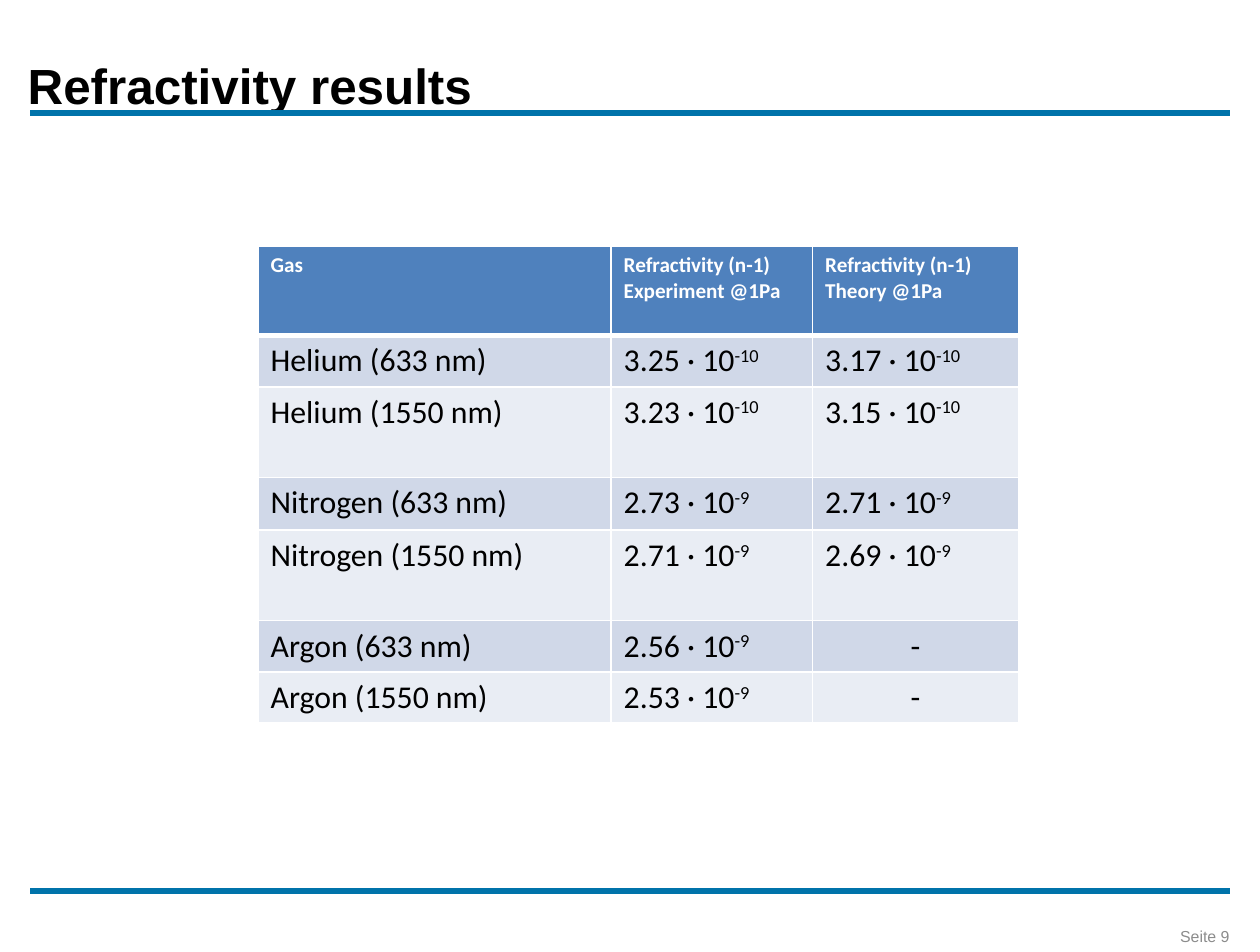
from lxml.etree import SubElement
from pptx import Presentation
from pptx.dml.color import RGBColor
from pptx.enum.shapes import MSO_CONNECTOR as Connector
from pptx.enum.text import MSO_ANCHOR as Anchor, PP_ALIGN as Align
from pptx.oxml.ns import qn
from pptx.util import Cm, Pt

BLUE = "0073AA"
HEADER_FILL = "4F81BD"
BAND_FILLS = ["E9EDF4", "D0D8E8"]


def rgb(value):
    return RGBColor.from_string(value)


def write(frame, text, size, font="Calibri", color="000000", bold=False,
          align=Align.LEFT, anchor=Anchor.TOP):
    """Fill a text frame; whatever follows ^ is set as superscript."""
    frame.word_wrap = True
    frame.vertical_anchor = anchor
    paragraph = frame.paragraphs[0]
    paragraph.alignment = align
    base, _, exponent = text.partition("^")
    for part, offset in ((base, 0), (exponent, 30000)):
        if not part:
            continue
        run = paragraph.add_run()
        run.text = part
        run.font.size = Pt(size)
        run.font.name = font
        run.font.bold = bold
        run.font.color.rgb = rgb(color)
        if offset:
            run._r.get_or_add_rPr().set("baseline", str(offset))


prs = Presentation()
prs.slide_width, prs.slide_height = Cm(25.2), Cm(19.05)
slide = prs.slides.add_slide(prs.slide_layouts[5])

# Rules below the title and above the footer
for y in (2.26, 17.83):
    rule = slide.shapes.add_connector(Connector.STRAIGHT, Cm(0.6), Cm(y), Cm(24.6), Cm(y))
    rule.line.color.rgb = rgb(BLUE)
    rule.line.width = Pt(3)
    SubElement(rule._element.spPr, qn("a:effectLst"))

# Title
title = slide.shapes.title
title.left, title.top, title.width, title.height = Cm(0.3), Cm(0.62), Cm(24.2), Cm(2.16)
write(title.text_frame, "Refractivity results", 28, font="Arial", bold=True, anchor=Anchor.MIDDLE)

# Page number
page = slide.shapes.add_textbox(Cm(13.92), Cm(18.42), Cm(10.92), Cm(0.63))
write(page.text_frame, "Seite 9", 9, font="Arial", color="8C8C8C",
      align=Align.RIGHT, anchor=Anchor.MIDDLE)

# Refractivity table
results = [
    ("Gas", "Refractivity (n-1) Experiment @1Pa", "Refractivity (n-1) Theory @1Pa"),
    ("Helium (633 nm)", "3.25 · 10^-10", "3.17 · 10^-10"),
    ("Helium (1550 nm)", "3.23 · 10^-10", "3.15 · 10^-10"),
    ("Nitrogen (633 nm)", "2.73 · 10^-9", "2.71 · 10^-9"),
    ("Nitrogen (1550 nm)", "2.71 · 10^-9", "2.69 · 10^-9"),
    ("Argon (633 nm)", "2.56 · 10^-9", "-"),
    ("Argon (1550 nm)", "2.53 · 10^-9", "-"),
]
widths = [7.06, 4.03, 4.12]
heights = [1.78, 1.03, 1.81, 1.06, 1.81, 1.03, 1.02]
table = slide.shapes.add_table(len(heights), len(widths), Cm(5.16), Cm(4.93),
                               Cm(sum(widths)), Cm(sum(heights))).table
for column, width in zip(table.columns, widths):
    column.width = Cm(width)

for r, (gas_row, height) in enumerate(zip(results, heights)):
    table.rows[r].height = Cm(height)
    for c, text in enumerate(gas_row):
        cell = table.cell(r, c)
        header = r == 0

        # White cell borders, thicker around the header's lower edge
        thickness = {"L": 1, "R": 1, "T": 3 if r == 1 else 1, "B": 3 if header else 1}
        for side, points in thickness.items():
            border = SubElement(cell._tc.get_or_add_tcPr(), qn(f"a:ln{side}"), w=str(Pt(points)))
            SubElement(SubElement(border, qn("a:solidFill")), qn("a:srgbClr"), val="FFFFFF")

        cell.fill.solid()
        cell.fill.fore_color.rgb = rgb(HEADER_FILL if header else BAND_FILLS[r % 2])
        write(cell.text_frame, text, 12 if header else 18, bold=header,
              color="FFFFFF" if header else "000000",
              align=Align.CENTER if text == "-" else Align.LEFT)

prs.save("out.pptx")
